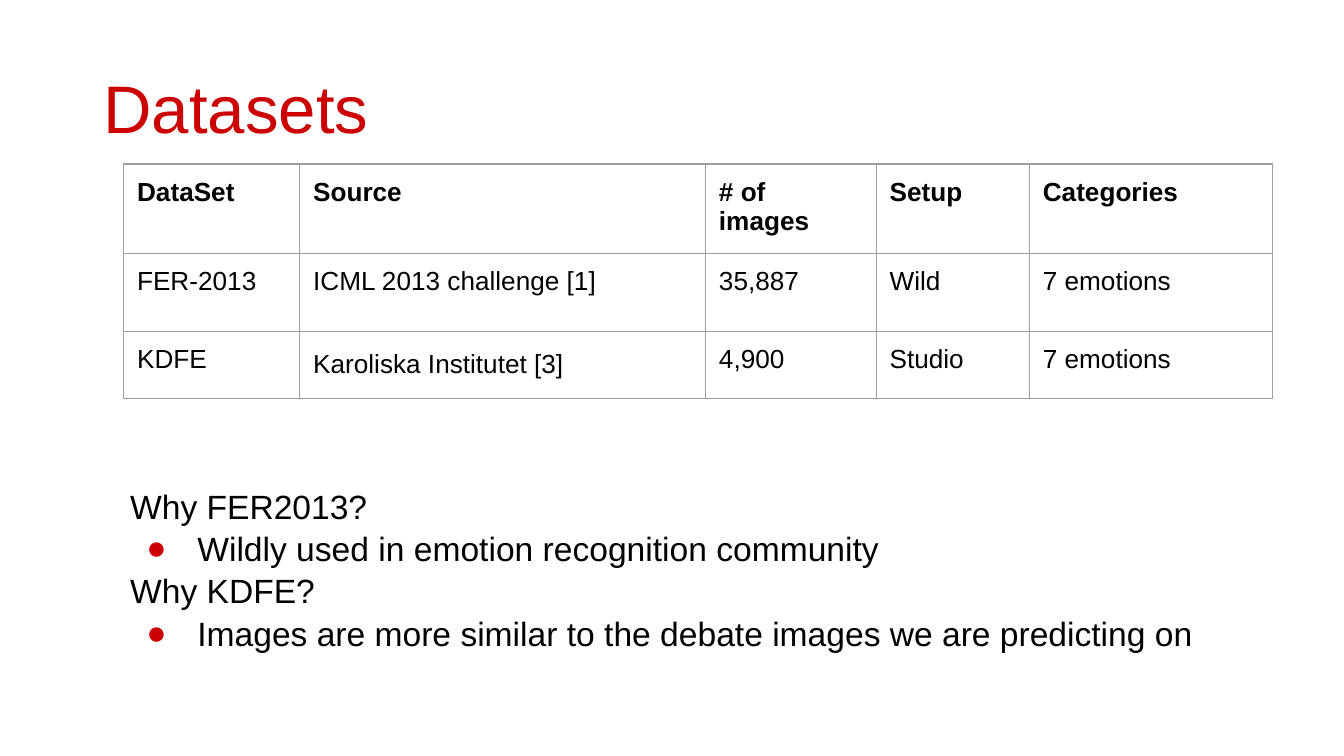
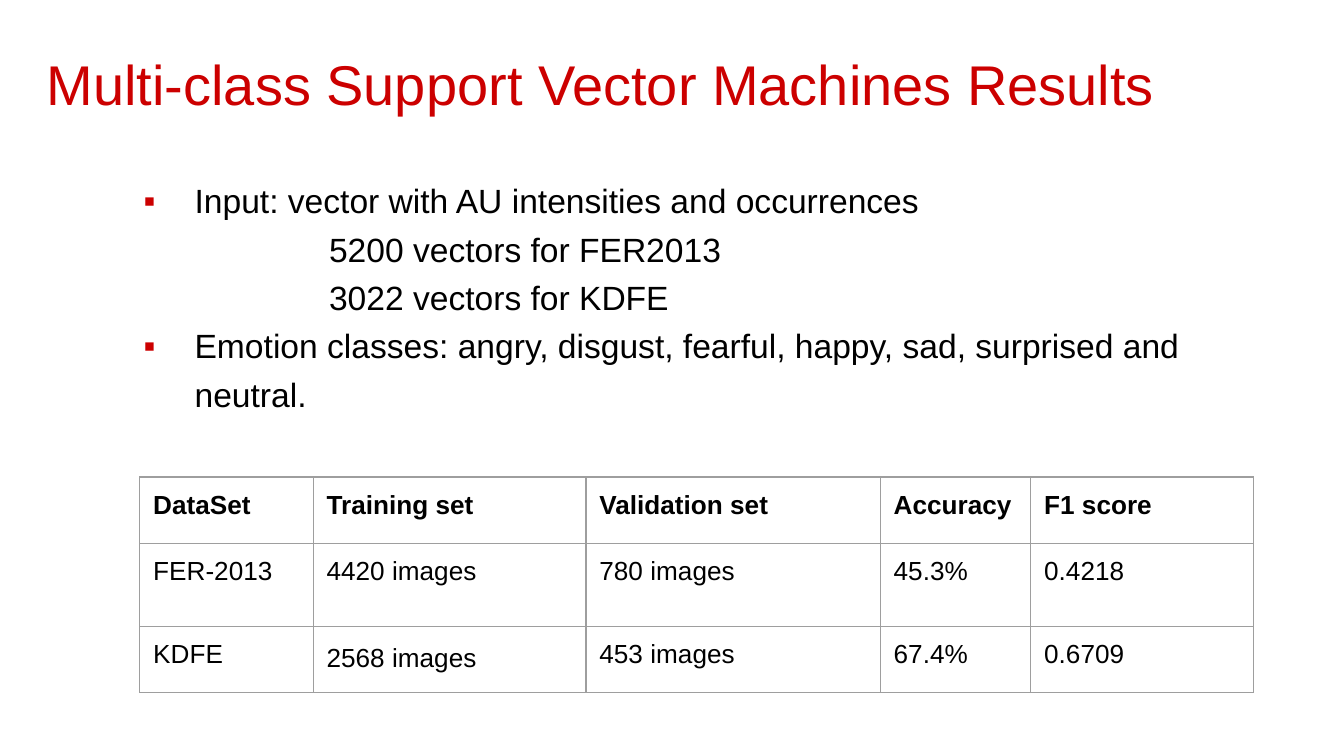
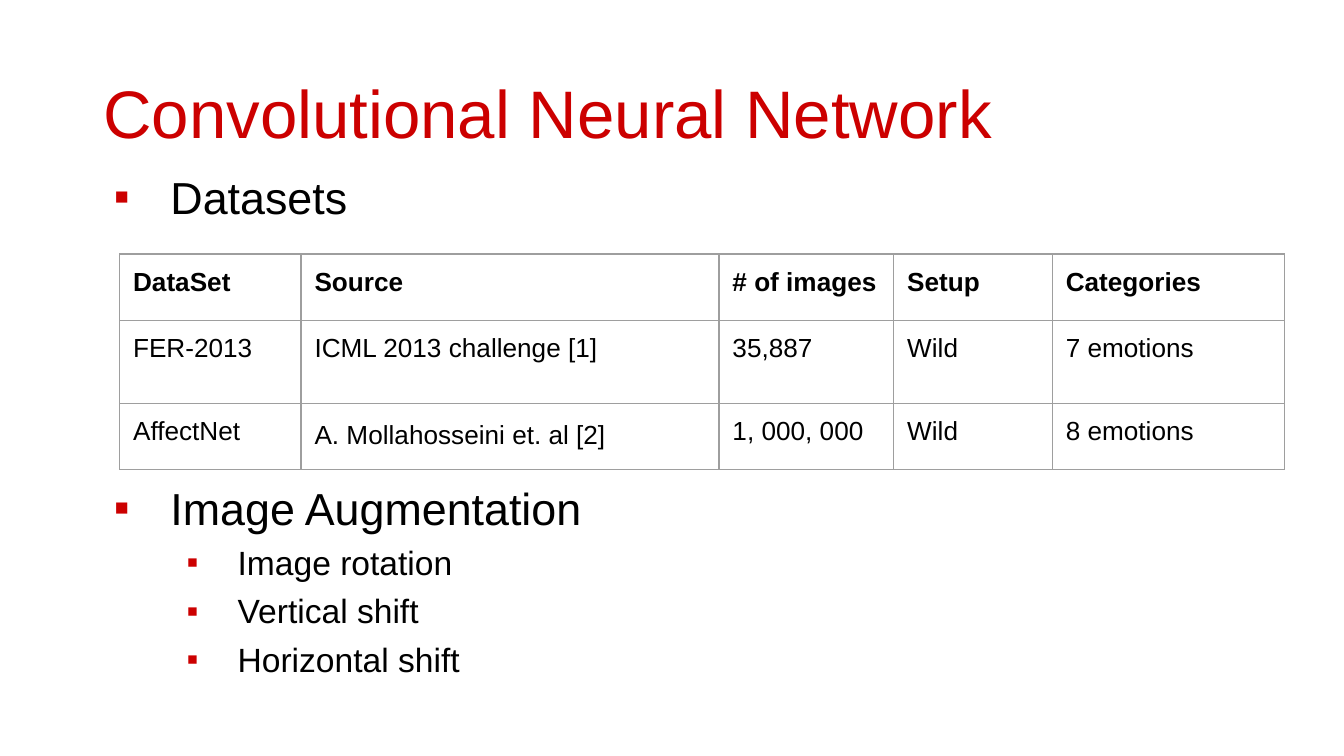
from lxml.etree import SubElement
from pptx import Presentation
from pptx.dml.color import RGBColor
from pptx.oxml.ns import qn
from pptx.util import Emu, Inches, Pt

RED, BLACK, GRAY = "CC0000", "000000", "9E9E9E"
FONT = "Arial"
WIDTH, HEIGHT = Inches(10), Inches(5.625)
INSET = Inches(0.1)
TITLE_SPACING, TIGHT, LOOSE = 1.08, 1.05, 1.2
DATA_HEADER = ["DataSet", "Source", "# of images", "Setup", "Categories"]
FER_2013 = ["FER-2013", "ICML 2013 challenge [1]", "35,887", "Wild", "7 emotions"]


def color(hex_code):
    """Turn a hex string into a colour."""
    return RGBColor.from_string(hex_code)


def across(percent):
    """Give a share of the slide's width."""
    return Emu(round(WIDTH * percent / 100))


def down(percent):
    """Give a share of the slide's height."""
    return Emu(round(HEIGHT * percent / 100))


def style(paragraph, size, hex_code=BLACK, bold=False):
    """Set the font of a whole paragraph."""
    font = paragraph.font
    font.name, font.size, font.bold = FONT, Pt(size), bold
    font.color.rgb = color(hex_code)


def add_bullet(paragraph, mark, margin, hanging):
    """Indent a paragraph and give it a red bullet if it has a mark."""
    props = paragraph._p.get_or_add_pPr()
    props.set("marL", str(Inches(margin)))
    props.set("indent", str(-Inches(hanging)))
    if mark:
        tint = SubElement(props, qn("a:buClr"))
        SubElement(tint, qn("a:srgbClr"), val=RED)
        SubElement(props, qn("a:buFont"), typeface=FONT)
        SubElement(props, qn("a:buChar"), char=mark)


def add_frame(slide, left, top, width, height):
    """Add a wrapping text box and return its text frame."""
    box = slide.shapes.add_textbox(across(left), down(top), across(width), down(height))
    frame = box.text_frame
    frame.word_wrap = True
    frame.margin_left = frame.margin_right = INSET
    frame.margin_top = frame.margin_bottom = INSET
    return frame


def add_title(slide, text, left, top, width=86.7, size=36):
    """Add the red slide title."""
    heading = add_frame(slide, left, top, width, 10).paragraphs[0]
    heading.text = text
    heading.line_spacing = TITLE_SPACING
    style(heading, size, RED)


def add_body(slide, area, points, spacing):
    """Add points given as text, mark, margin, hanging, size and space before."""
    frame = add_frame(slide, *area)
    for number, (text, mark, margin, hanging, size, before) in enumerate(points):
        point = frame.add_paragraph() if number else frame.paragraphs[0]
        point.text = text
        add_bullet(point, mark, margin, hanging)
        point.line_spacing = spacing
        point.space_before = Pt(before)
        style(point, size)


def add_borders(cell):
    """Draw thin gray lines on all four sides of a cell."""
    props = cell._tc.get_or_add_tcPr()
    for side in ("lnL", "lnR", "lnT", "lnB"):
        line = SubElement(props, qn(f"a:{side}"), w=str(Pt(0.75)))
        fill = SubElement(line, qn("a:solidFill"))
        SubElement(fill, qn("a:srgbClr"), val=GRAY)


def add_data_table(slide, left, top, columns, row_heights, rows):
    """Add a bordered table with a bold header row."""
    table = slide.shapes.add_table(
        len(rows), len(columns), across(left), down(top),
        across(sum(columns)), down(sum(row_heights))).table
    table.first_row = table.horz_banding = False
    for column, share in zip(table.columns, columns):
        column.width = across(share)
    for row, share, values in zip(table.rows, row_heights, rows):
        row.height = down(share)
        for cell, value in zip(row.cells, values):
            cell.text = value
            cell.margin_left = cell.margin_right = INSET
            cell.margin_top = cell.margin_bottom = INSET
            add_borders(cell)
            cell.fill.background()
            style(cell.text_frame.paragraphs[0], 14, bold=values is rows[0])
    table.cell(len(rows) - 1, 1).text_frame.paragraphs[0].line_spacing = 1.15


def build_datasets(slide):
    """Compare the two data sets and say why they were chosen."""
    add_title(slide, "Datasets", 6.7, 6.1)
    add_data_table(
        slide, 9.2, 21.7, [13.1, 30.2, 12.7, 11.4, 18.1], [11, 10.3, 8.9],
        [DATA_HEADER, FER_2013,
         ["KDFE", "Karoliska Institutet [3]", "4,900", "Studio", "7 emotions"]])
    reasons = [
        ("Why FER2013?", "Wildly used in emotion recognition community"),
        ("Why KDFE?", "Images are more similar to the debate images we are predicting on")]
    points = []
    for question, answer in reasons:
        points += [(question, None, 0, 0, 18, 0), (answer, "●", 0.5, 0.38, 18, 0)]
    add_body(slide, (8.7, 62.2, 84.2, 20.4), points, TIGHT)


def build_svm_results(slide):
    """Show the inputs and scores of the support vector machines."""
    add_title(slide, "Multi-class Support Vector Machines Results", 2.5, 4.1, 92.2, 30)
    add_body(slide, (8.5, 21, 86.7, 35.2), [
        ("Input: vector with AU intensities and occurrences", "▪", 0.5, 0.38, 18, 0),
        ("5200 vectors for FER2013", None, 1.5, 0, 18, 0),
        ("3022 vectors for KDFE", None, 1.5, 0, 18, 0),
        ("Emotion classes: angry, disgust, fearful, happy, sad, surprised and neutral.",
         "▪", 0.5, 0.38, 18, 0)], LOOSE)
    add_data_table(
        slide, 10.4, 63.1, [12.9, 20.3, 21.9, 11.2, 16.6], [8.75, 11, 8.75],
        [["DataSet", "Training set", "Validation set", "Accuracy", "F1 score"],
         ["FER-2013", "4420 images", "780 images", "45.3%", "0.4218"],
         ["KDFE", "2568 images", "453 images", "67.4%", "0.6709"]])


def build_network(slide):
    """Show the data sets and image augmentation of the network."""
    add_title(slide, "Convolutional Neural Network", 6.7, 6.8)
    shifts = ["Image rotation", "Vertical shift", "Horizontal shift"]
    add_body(slide, (6.7, 19.2, 86.7, 56.7), [
        ("Datasets", "▪", 0.5, 0.42, 24, 0),
        ("Image Augmentation", "▪", 0.5, 0.42, 24, 132),
        *((shift, "▪", 1, 0.38, 18, 0) for shift in shifts)], LOOSE)
    add_data_table(
        slide, 8.9, 33.6, [13.5, 31.1, 13, 11.8, 17.3], [8.75, 11, 8.75],
        [DATA_HEADER, FER_2013,
         ["AffectNet", "A. Mollahosseini et. al [2]", "1, 000, 000", "Wild", "8 emotions"]])


def main():
    """Build the three slides and save them."""
    deck = Presentation()
    deck.slide_width, deck.slide_height = WIDTH, HEIGHT
    for build in (build_datasets, build_svm_results, build_network):
        build(deck.slides.add_slide(deck.slide_layouts[6]))
    deck.save("out.pptx")


if __name__ == "__main__":
    main()
